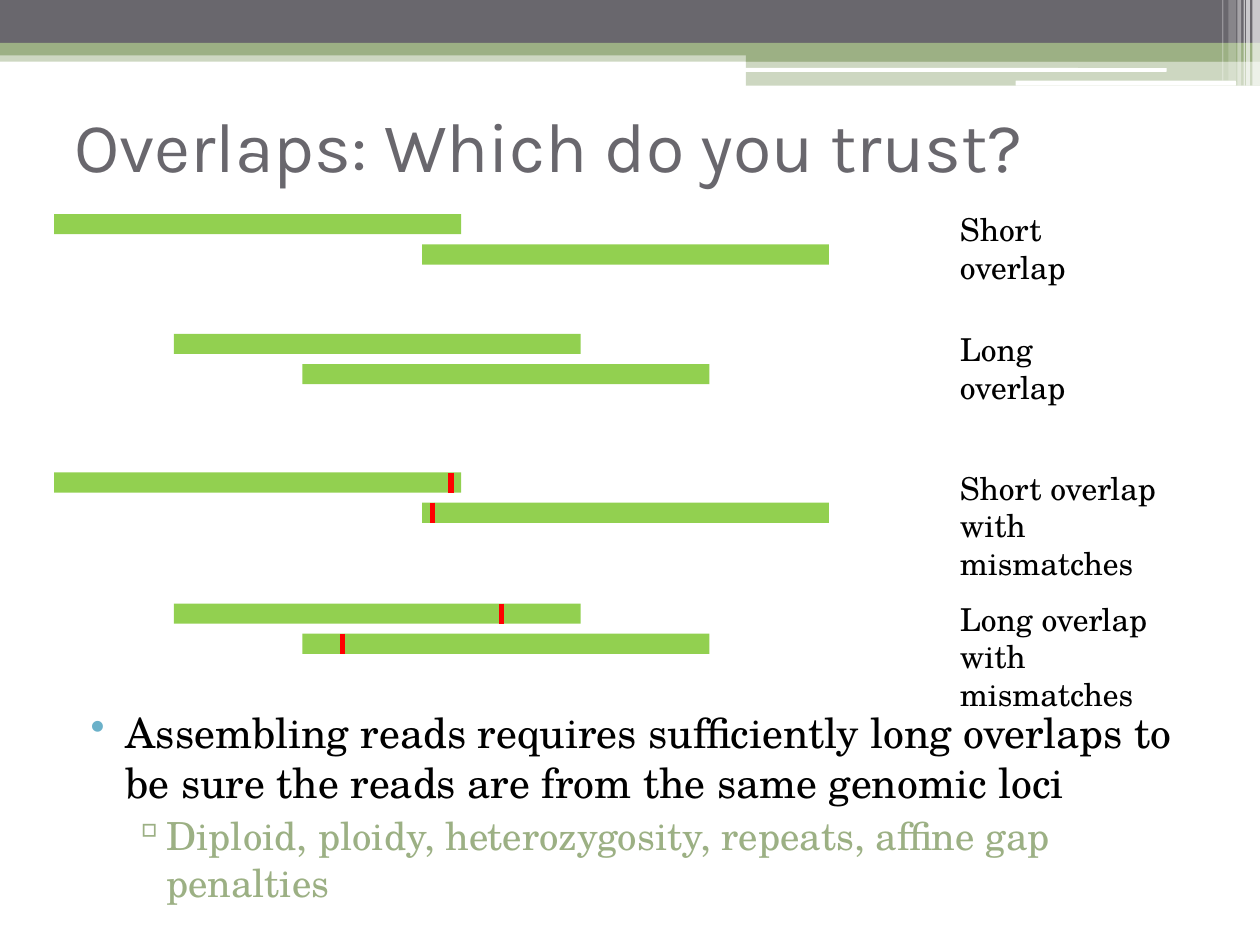
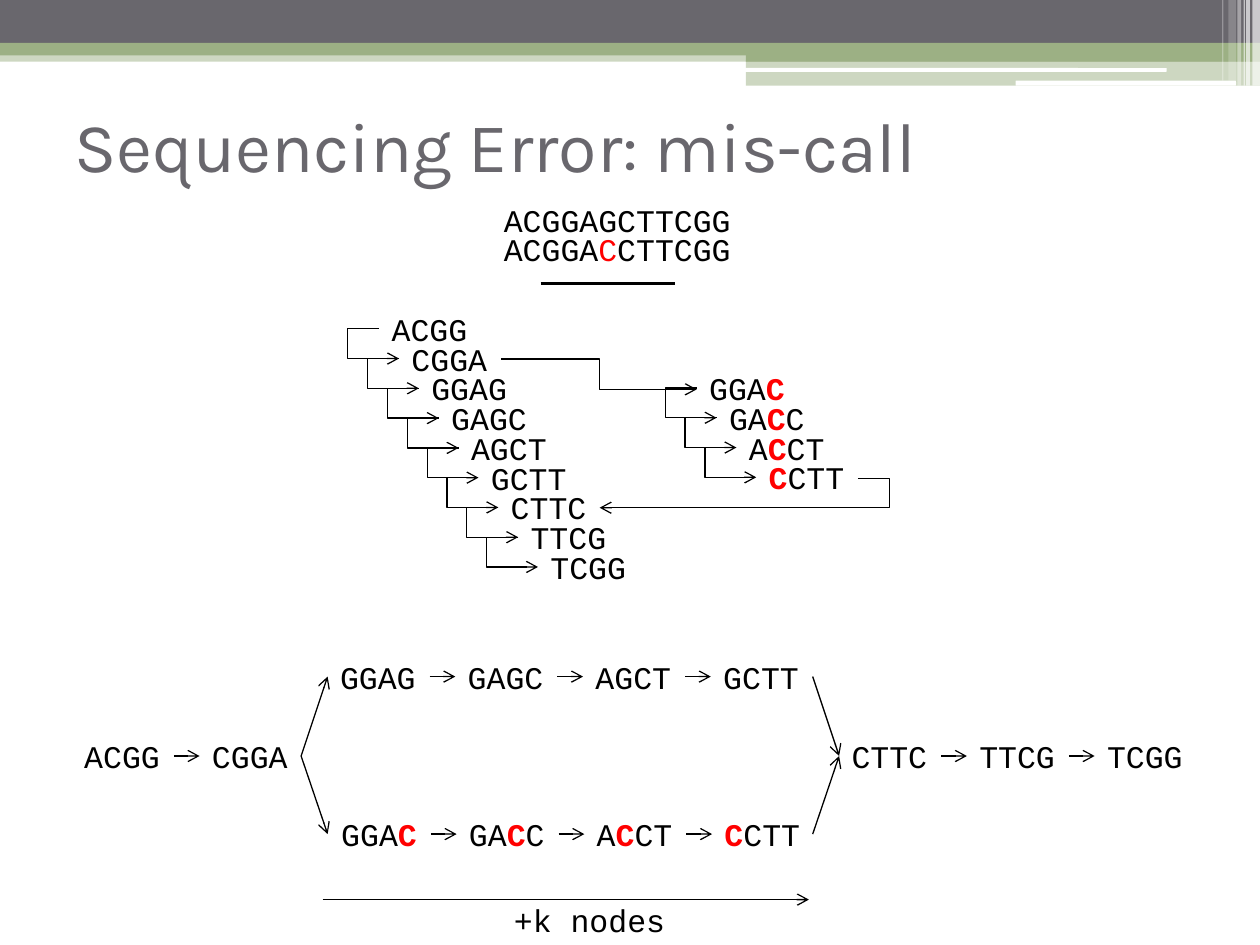
from lxml import etree
from pptx import Presentation
from pptx.dml.color import RGBColor
from pptx.enum import shapes, text
from pptx.oxml.ns import qn
from pptx.util import Inches, Pt

GRAY, SAGE, READ = "69676D", "9CB084", "92D050"
BLACK, WHITE, RED, BLUE = "000000", "FFFFFF", "FF0000", "6BB1C9"
TITLE_FONT, BODY_FONT, CODE_FONT = "Karla", "TeX Gyre Schola", "Courier New"
RECT, ROUND = shapes.MSO_SHAPE.RECTANGLE, shapes.MSO_SHAPE.ROUNDED_RECTANGLE
STRAIGHT, ELBOW = shapes.MSO_CONNECTOR.STRAIGHT, shapes.MSO_CONNECTOR.ELBOW

BANDS = [
    (RECT, 0, 0.4, 10, 0.09, SAGE, 50),
    (RECT, 0, 0, 10, 0.34, GRAY, 100),
    (RECT, 0, 0.34, 10, 0.1, SAGE, 100),
    (RECT, 5.92, 0.39, 4.08, 0.1, SAGE, 100),
    (RECT, 5.92, 0.48, 4.08, 0.2, SAGE, 50),
    (ROUND, 5.91, 0.54, 3.35, 0.03, WHITE, 100),
    (ROUND, 8.06, 0.64, 1.75, 0.04, WHITE, 100),
    (RECT, 9.94, 0, 0.06, 0.68, WHITE, 65),
    (RECT, 9.89, 0, 0.03, 0.68, WHITE, 65),
    (RECT, 9.87, 0, 0.01, 0.68, WHITE, 60),
    (RECT, 9.82, 0, 0.03, 0.68, WHITE, 40),
    (RECT, 9.75, 0, 0.06, 0.64, WHITE, 20),
    (RECT, 9.7, 0, 0.01, 0.64, WHITE, 30),
]

READ_W, READ_H, READ_DROP = 3.23, 0.16, 0.24
KMER_W, KMER_MID = 0.81, 0.2
STEP_X, STEP_Y = 1.26 / 8, 1.89 / 8
PITCH = 8.11 / 8
DETOUR = 0.25


def rgb(color):
    """Turn a hex string into a colour."""
    return RGBColor.from_string(color)


def add_block(s, kind, x, y, w, h, color, alpha=100):
    """Add a plain filled shape, optionally see-through."""
    sp = s.shapes.add_shape(kind, Inches(x), Inches(y), Inches(w), Inches(h))
    sp.shadow.inherit = False
    sp.fill.solid()
    sp.fill.fore_color.rgb = rgb(color)
    sp.line.fill.background()
    if alpha < 100:
        clr = sp.fill._xPr.find(qn("a:solidFill"))[0]
        etree.SubElement(clr, qn("a:alpha")).set("val", str(alpha * 1000))


def style_run(r, size, font, color, bold=False):
    """Set the font of one run."""
    r.font.size, r.font.name, r.font.bold = Pt(size), font, bold
    r.font.color.rgb = rgb(color)


def add_box(s, x, y, w, h, wrap=True):
    """Add an empty text box and return its text frame."""
    tf = s.shapes.add_textbox(Inches(x), Inches(y), Inches(w), Inches(h)).text_frame
    tf.word_wrap = wrap
    return tf


def add_title(s, title):
    """Add the slide title."""
    tf = add_box(s, 0.59, 0.68, 9.25, 0.94)
    tf.margin_left = tf.margin_right = tf.margin_top = tf.margin_bottom = 0
    tf.vertical_anchor = text.MSO_ANCHOR.MIDDLE
    tf.text = title
    style_run(tf.paragraphs[0].runs[0], 40, TITLE_FONT, GRAY)


def add_slide(prs, title):
    """Add a slide with the shared bands and a title."""
    s = prs.slides.add_slide(prs.slide_layouts[6])
    for band in BANDS:
        add_block(s, *band)
    add_title(s, title)
    return s


def add_line(s, start, end, color=BLACK, width=0.75, arrow=True, bend=None):
    """Add a line; bend is the distance from the start to the elbow."""
    kind = STRAIGHT if bend is None else ELBOW
    c = s.shapes.add_connector(kind, *(Inches(v) for v in (*start, *end)))
    c.line.color.rgb = rgb(color)
    c.line.width = Pt(width)
    sp_pr = c._element.spPr
    if arrow:
        etree.SubElement(c.line._get_or_add_ln(), qn("a:tailEnd")).set("type", "arrow")
    if bend is not None:
        geom = sp_pr.find(qn("a:prstGeom"))
        av = geom.find(qn("a:avLst"))
        if av is None:
            av = etree.SubElement(geom, qn("a:avLst"))
        gd = etree.SubElement(av, qn("a:gd"))
        gd.set("name", "adj1")
        gd.set("fmla", f"val {round(bend / abs(end[0] - start[0]) * 100000)}")
    etree.SubElement(sp_pr, qn("a:effectLst"))


def add_bullet(p, content, size, color, char, bullet_color, margin, indent):
    """Fill a paragraph and give it a coloured bullet."""
    p.text = content
    p.space_before = Pt(3)
    style_run(p.runs[0], size, BODY_FONT, color)
    pr = p._p.get_or_add_pPr()
    pr.set("marL", str(Inches(margin)))
    pr.set("indent", str(Inches(indent)))
    clr = etree.SubElement(pr, qn("a:buClr"))
    etree.SubElement(clr, qn("a:srgbClr")).set("val", bullet_color)
    etree.SubElement(pr, qn("a:buChar")).set("char", char)


def add_overlap(s, reads, y, label, label_w, errors=()):
    """Add two overlapping reads, their mismatches and a label."""
    for i, x in enumerate(reads):
        add_block(s, RECT, x, y + i * READ_DROP, READ_W, READ_H, READ)
    for i, x in enumerate(errors):
        top = y + i * READ_DROP
        add_line(s, (x, top), (x, top + READ_H), RED, 3, arrow=False)
    tf = add_box(s, 7.52, y - 0.08, label_w, 0.4)
    tf.text = label
    for p in tf.paragraphs:
        style_run(p.runs[0], 18, BODY_FONT, BLACK)


def add_sequence(s, x, y, letters, w=KMER_W, bold=True):
    """Add a sequence; letters between asterisks are red."""
    tf = add_box(s, x, y, w, 0.4, wrap=False)
    for i, part in enumerate(letters.split("*")):
        if part:
            r = tf.paragraphs[0].add_run()
            r.text = part
            error = i % 2 == 1
            style_run(r, 18, CODE_FONT, RED if error else BLACK, error and bold)


def add_staircase(s, kmers, x, y):
    """Add k-mers going down in steps, joined by elbow arrows."""
    for i, kmer in enumerate(kmers):
        left, top = x + i * STEP_X, y + i * STEP_Y
        add_sequence(s, left, top, kmer)
        if i:
            mid = top + KMER_MID
            add_line(s, (left - STEP_X, mid - STEP_Y), (left, mid), bend=-DETOUR)


def add_chain(s, kmers, x, y):
    """Add k-mers in a row, joined by arrows."""
    for i, kmer in enumerate(kmers):
        left, mid = x + i * PITCH, y + KMER_MID
        add_sequence(s, left, y, kmer)
        if i:
            add_line(s, (left - PITCH + KMER_W, mid), (left, mid))


def build_overlaps(prs):
    """Build the slide on overlap length."""
    s = add_slide(prs, "Overlaps: Which do you trust?")
    short, long = (0.43, 3.35), (1.38, 2.4)
    add_overlap(s, short, 1.7, "Short overlap", 1.71)
    add_overlap(s, long, 2.65, "Long overlap", 1.66)
    add_overlap(s, short, 3.75, "Short overlap with\nmismatches", 2.27, (3.58, 3.43))
    add_overlap(s, long, 4.79, "Long overlap with\nmismatches", 2.22, (3.98, 2.72))
    tf = add_box(s, 0.5, 5.56, 8.99, 1.34)
    add_bullet(tf.paragraphs[0],
               "Assembling reads requires sufficiently long overlaps to be sure "
               "the reads are from the same genomic loci",
               23.8, BLACK, "•", BLUE, 0.4, -0.28)
    add_bullet(tf.add_paragraph(),
               "Diploid, ploidy, heterozygosity, repeats, affine gap penalties",
               22.1, SAGE, "▫", SAGE, 0.72, -0.27)


def build_miscall(prs):
    """Build the slide on a mis-called base."""
    s = add_slide(prs, "Sequencing Error: mis-call")
    head, tail = ["ACGG", "CGGA"], ["CTTC", "TTCG", "TCGG"]
    good = ["GGAG", "GAGC", "AGCT", "GCTT"]
    bad = ["GGA*C*", "GA*C*C", "A*C*CT", "*C*CTT"]

    add_sequence(s, 3.9, 1.55, "ACGGAGCTTCGG", 2.01)
    add_sequence(s, 3.9, 1.78, "ACGGA*C*CTTCGG", 2.01, bold=False)
    for x in (4.29, 4.43, 4.56, 4.73):
        add_line(s, (x, 2.25), (x + 0.63, 2.25), width=2, arrow=False)

    add_staircase(s, head + good + tail, 3.01, 2.41)
    add_staircase(s, bad, 5.53, 2.88)
    add_line(s, (3.98, 2.85), (5.53, 3.09), bend=0.78)
    add_line(s, (6.81, 3.8), (4.76, 4.03), bend=-DETOUR)

    add_chain(s, head, 0.57, 5.8)
    add_chain(s, good, 2.6, 5.17)
    add_chain(s, bad, 2.61, 6.42)
    add_chain(s, tail, 6.66, 5.8)
    for y in (5.37, 6.62):
        add_line(s, (2.39, 6), (2.6, y))
        add_line(s, (6.45, y), (6.66, 6))
    add_line(s, (2.56, 7.14), (6.42, 7.14))
    add_sequence(s, 3.98, 7.1, "+k nodes", 1.41)


def main():
    """Build and save the presentation."""
    prs = Presentation()
    prs.slide_width, prs.slide_height = Inches(10), Inches(7.5)
    build_overlaps(prs)
    build_miscall(prs)
    prs.save("out.pptx")


if __name__ == "__main__":
    main()
